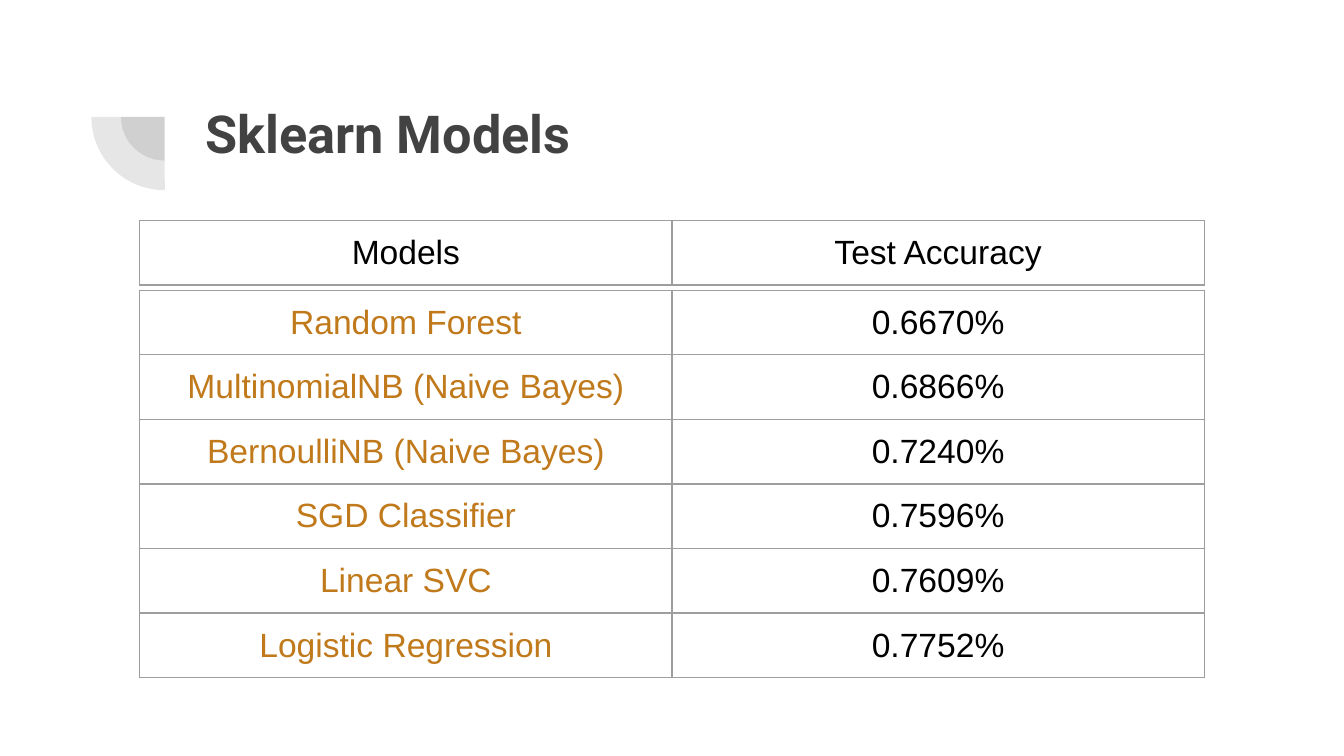
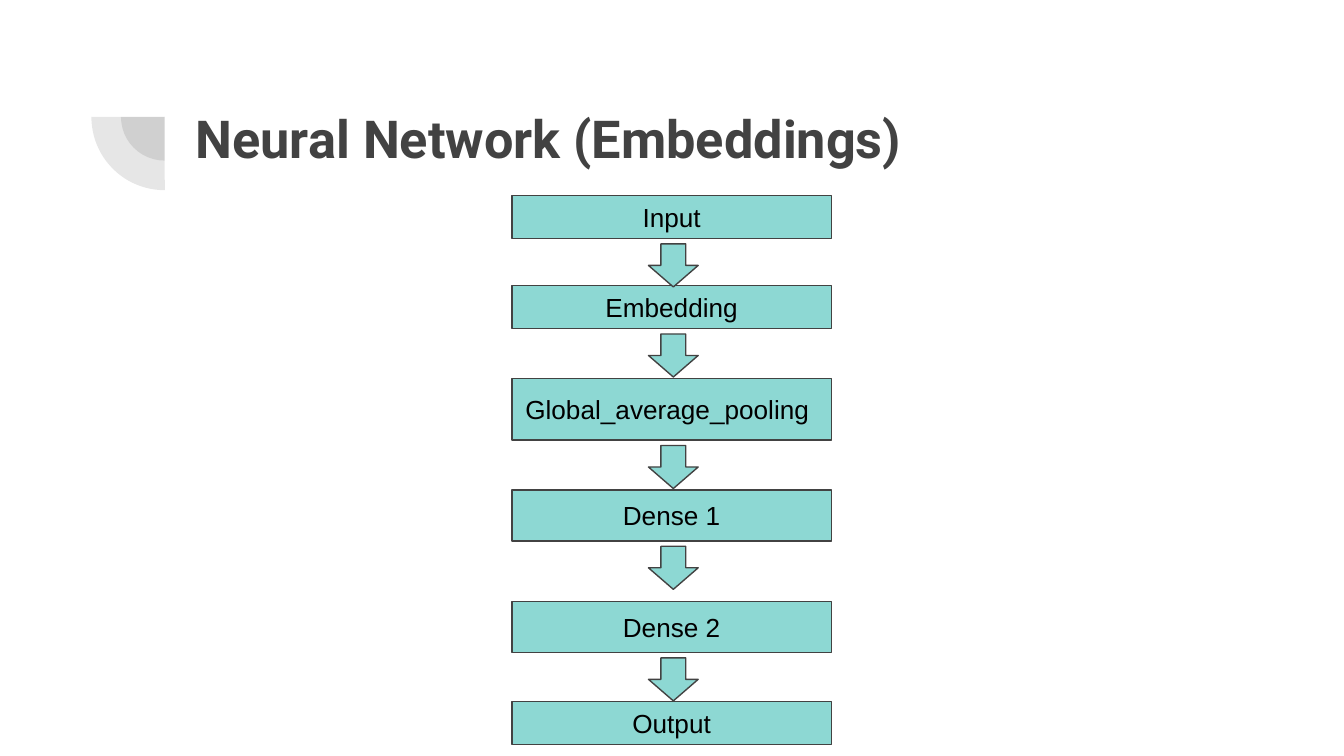
from lxml import etree
from pptx import Presentation
from pptx.dml.color import RGBColor
from pptx.enum.shapes import MSO_SHAPE
from pptx.enum.text import MSO_ANCHOR, MSO_AUTO_SIZE, PP_ALIGN
from pptx.oxml.ns import qn
from pptx.util import Emu, Pt

PIE, RECT, ARROW = MSO_SHAPE.PIE, MSO_SHAPE.RECTANGLE, MSO_SHAPE.DOWN_ARROW
TOP, MID = MSO_ANCHOR.TOP, MSO_ANCHOR.MIDDLE
LEFT, CENTER = PP_ALIGN.LEFT, PP_ALIGN.CENTER
NO_FIT = MSO_AUTO_SIZE.NONE

SCALE = 4572
WIDTH, HEIGHT = 2000, 1125
PAD = 20
DARK, BLACK, GOLD, TEAL, GREY = "424242", "000000", "C0791B", "8DD8D3", "9E9E9E"
HEAD_FONT, BODY_FONT = "Roboto", "Arial"

HEADER = [("Models", "Test Accuracy")]
SCORES = [
    ("Random Forest", "0.6670%"),
    ("MultinomialNB (Naive Bayes)", "0.6866%"),
    ("BernoulliNB (Naive Bayes)", "0.7240%"),
    ("SGD Classifier", "0.7596%"),
    ("Linear SVC", "0.7609%"),
    ("Logistic Regression", "0.7752%"),
]
LAYERS = [
    ("Input", 0, 64, CENTER),
    ("Embedding", 134, 64, CENTER),
    ("Global_average_pooling", 272, 92, LEFT),
    ("Dense 1", 438, 76, CENTER),
    ("Dense 2", 604, 76, CENTER),
    ("Output", 753, 64, CENTER),
]


def px(*sizes):
    """Turn px lengths into EMU."""
    return [Emu(size * SCALE) for size in sizes]


def color(code):
    """Turn a hex string into a colour."""
    return RGBColor.from_string(code)


def write(frame, text, size, code, font=BODY_FONT, align=CENTER, bold=False):
    """Write one styled paragraph into a text frame."""
    frame.text = text
    para = frame.paragraphs[0]
    para.alignment = align
    para.font.name, para.font.size, para.font.bold = font, Pt(size), bold
    para.font.color.rgb = color(code)


def inset(part):
    """Set equal margins on a text frame or a table cell."""
    part.margin_left, part.margin_top, part.margin_right, part.margin_bottom = px(*[PAD] * 4)


def add_form(slide, kind, box, code):
    """Add a flat filled shape."""
    form = slide.shapes.add_shape(kind, *px(*box))
    form.shadow.inherit = False
    form.fill.solid()
    form.fill.fore_color.rgb = color(code)
    return form


def outline(form):
    """Give a shape the thin dark outline."""
    form.line.color.rgb = color(DARK)
    form.line.width = Pt(0.75)


def add_mark(slide, right, top):
    """Add the two quarter rings whose corner sits at right, top."""
    for size in (130, 218):
        half = size // 2
        pie = add_form(slide, PIE, (right - half, top - half, size, size), DARK)
        pie.adjustments[0], pie.adjustments[1] = 107.93, 162
        pie.rotation = 270
        pie.line.fill.background()
        tone = pie.fill._xPr.find(qn("a:solidFill"))[0]
        etree.SubElement(tone, qn("a:alpha"), val="13000")


def add_page(deck, text, left, top):
    """Add a slide with its mark and title."""
    slide = deck.slides.add_slide(deck.slide_layouts[5])
    add_mark(slide, 245, 174)
    title = slide.shapes.title
    title.left, title.top, title.width, title.height = px(left, top, 1538, 218)
    frame = title.text_frame
    frame.word_wrap, frame.auto_size, frame.vertical_anchor = True, NO_FIT, TOP
    inset(frame)
    write(frame, text, 28, DARK, HEAD_FONT, LEFT, True)
    return slide


def add_edges(cell):
    """Draw the four borders of a table cell."""
    props = cell._tc.get_or_add_tcPr()
    for side in ("lnL", "lnR", "lnT", "lnB"):
        line = etree.SubElement(props, qn(f"a:{side}"), w=str(Pt(0.75)))
        fill = etree.SubElement(line, qn("a:solidFill"))
        etree.SubElement(fill, qn("a:srgbClr"), val=GREY)


def add_grid(slide, rows, left, top, codes):
    """Add a bordered table with one text colour for each column."""
    wide, high = 792, 96
    count = len(codes)
    box = px(left, top, wide * count, high * len(rows))
    grid = slide.shapes.add_table(len(rows), count, *box).table
    grid.first_row = grid.horz_banding = False
    for r, row in enumerate(rows):
        for c, text in enumerate(row):
            cell = grid.cell(r, c)
            add_edges(cell)
            cell.fill.background()
            cell.vertical_anchor = MID
            inset(cell)
            write(cell.text_frame, text, 18, codes[c])


def add_flow(slide, left, top):
    """Add the stack of layers with an arrow under all but the last."""
    for text, y, high, align in LAYERS:
        layer = add_form(slide, RECT, (left, top + y, 475, high), TEAL)
        outline(layer)
        frame = layer.text_frame
        frame.word_wrap, frame.vertical_anchor = True, MID
        inset(frame)
        write(frame, text, 14, BLACK, align=align)
    for _, y, high, _ in LAYERS[:-1]:
        outline(add_form(slide, ARROW, (left + 203, top + y + high + 8, 74, 64), TEAL))


def main():
    """Build and save both slides."""
    deck = Presentation()
    deck.slide_width, deck.slide_height = px(WIDTH, HEIGHT)
    models = add_page(deck, "Sklearn Models", 286, 130)
    add_grid(models, SCORES, 208, 432, (GOLD, BLACK))
    add_grid(models, HEADER, 208, 328, (BLACK, BLACK))
    network = add_page(deck, "Neural Network (Embeddings)", 271, 138)
    add_flow(network, 762, 291)
    deck.save("out.pptx")


if __name__ == "__main__":
    main()
